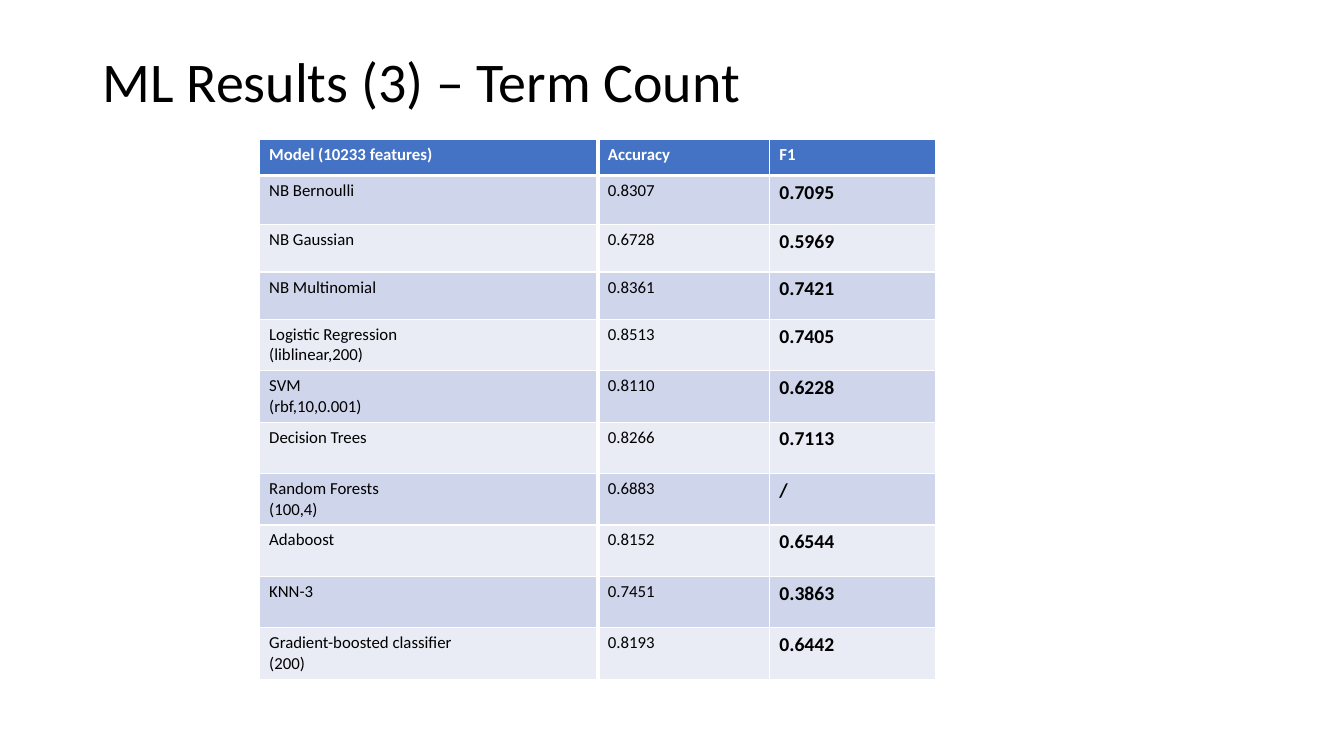
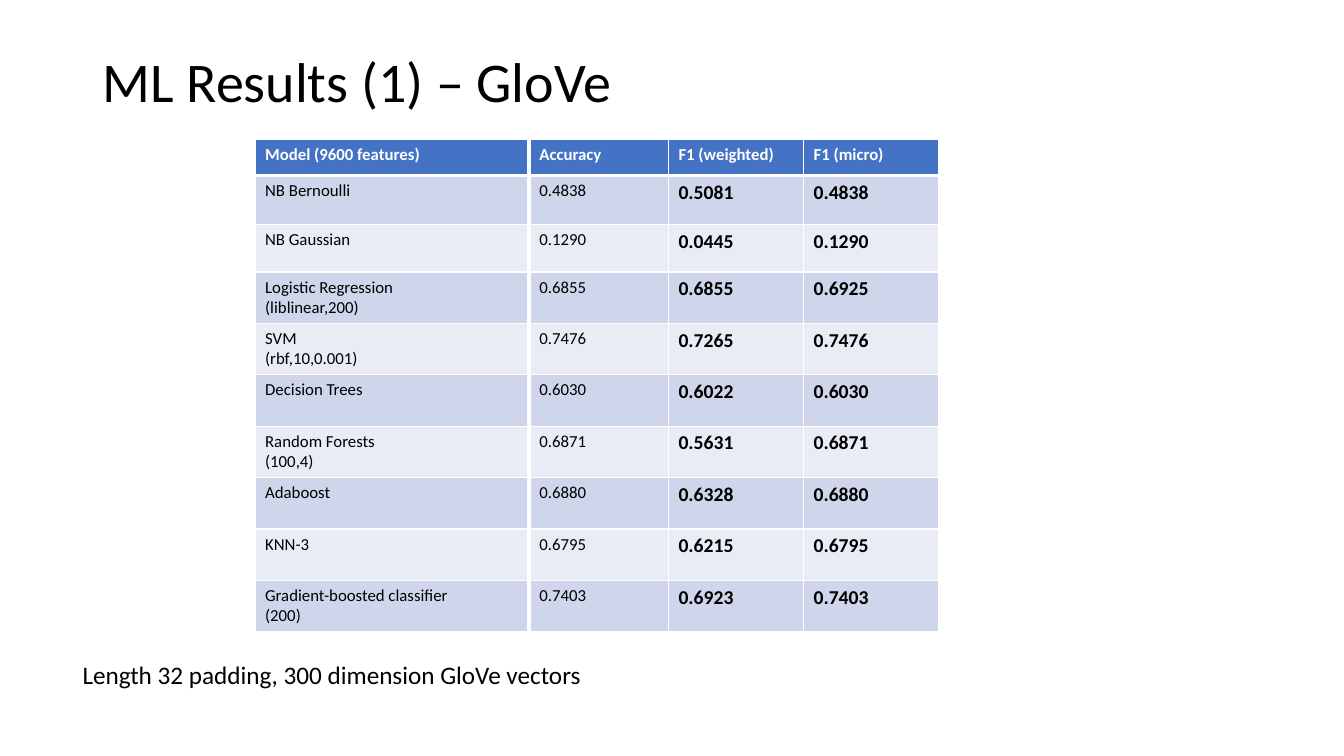
from dataclasses import dataclass

import pptx
import pptx.dml.color
import pptx.enum.shapes
import pptx.enum.text
import pptx.oxml
import pptx.oxml.ns
import pptx.slide
import pptx.table
import pptx.text.text
import pptx.util
from lxml import etree

RGBColor = pptx.dml.color.RGBColor
Pt = pptx.util.Pt

EMU_PER_PX = 9144  # 100 px to the inch
SLIDE_WIDTH, SLIDE_HEIGHT = 1333, 750

BLACK = RGBColor(0x00, 0x00, 0x00)
WHITE = RGBColor(0xFF, 0xFF, 0xFF)
HEADER_BLUE = RGBColor(0x44, 0x72, 0xC4)
BAND_DARK = RGBColor(0xCF, 0xD5, 0xEA)
BAND_LIGHT = RGBColor(0xE9, 0xEB, 0xF5)

FONT = "Calibri"
TITLE_BOX = (92, 11, 1150, 145)
TABLE_TOP = 138
HEADER_HEIGHT, FIRST_ROW_HEIGHT, SHORT_ROW_HEIGHT, TALL_ROW_HEIGHT = 36, 49, 47, 51
THIN_LINE, THICK_LINE = 1, 3


@dataclass(frozen=True)
class Note:
    text: str
    box: tuple[int, int, int, int]


@dataclass(frozen=True)
class ResultsSlide:
    title: str
    table_left: int
    column_widths: tuple[int, ...]
    short_rows: int  # rows of SHORT_ROW_HEIGHT after the first model
    header: tuple[str, ...]
    results: tuple[tuple[str, ...], ...]
    divider_span: tuple[int, int]
    note: Note | None = None

    @property
    def row_heights(self) -> list[int]:
        tall_rows = len(self.results) - 1 - self.short_rows
        return (
            [HEADER_HEIGHT, FIRST_ROW_HEIGHT]
            + [SHORT_ROW_HEIGHT] * self.short_rows
            + [TALL_ROW_HEIGHT] * tall_rows
        )


LOGISTIC = "Logistic Regression\n(liblinear,200)"
SVM = "SVM\n(rbf,10,0.001)"
FORESTS = "Random Forests\n(100,4)"
BOOSTED = "Gradient-boosted classifier\n(200)"

RESULTS_SLIDES = (
    ResultsSlide(
        title="ML Results (3) – Term Count",
        table_left=257,
        column_widths=(336, 170, 165),
        short_rows=2,
        header=("Model (10233 features)", "Accuracy", "F1"),
        results=(
            ("NB Bernoulli", "0.8307", "0.7095"),
            ("NB Gaussian", "0.6728", "0.5969"),
            ("NB Multinomial", "0.8361", "0.7421"),
            (LOGISTIC, "0.8513", "0.7405"),
            (SVM, "0.8110", "0.6228"),
            ("Decision Trees", "0.8266", "0.7113"),
            (FORESTS, "0.6883", "/"),
            ("Adaboost", "0.8152", "0.6544"),
            ("KNN-3", "0.7451", "0.3863"),
            (BOOSTED, "0.8193", "0.6442"),
        ),
        divider_span=(138, 688),
    ),
    ResultsSlide(
        title="ML Results (1) – GloVe",
        table_left=253,
        column_widths=(272, 138, 134, 134),
        short_rows=1,
        header=("Model (9600 features)", "Accuracy", "F1 (weighted)", "F1 (micro)"),
        results=(
            ("NB Bernoulli", "0.4838", "0.5081", "0.4838"),
            ("NB Gaussian", "0.1290", "0.0445", "0.1290"),
            (LOGISTIC, "0.6855", "0.6855", "0.6925"),
            (SVM, "0.7476", "0.7265", "0.7476"),
            ("Decision Trees", "0.6030", "0.6022", "0.6030"),
            (FORESTS, "0.6871", "0.5631", "0.6871"),
            ("Adaboost", "0.6880", "0.6328", "0.6880"),
            ("KNN-3", "0.6795", "0.6215", "0.6795"),
            (BOOSTED, "0.7403", "0.6923", "0.7403"),
        ),
        divider_span=(124, 627),
        note=Note("Length 32 padding, 300 dimension GloVe vectors", (72, 649, 521, 40)),
    ),
)


def px(length: int) -> pptx.util.Emu:
    return pptx.util.Emu(length * EMU_PER_PX)


def add_run(
    paragraph: pptx.text.text._Paragraph,
    text: str,
    size: int,
    color: RGBColor = BLACK,
    bold: bool = False,
) -> None:
    run = paragraph.add_run()
    run.text = text
    run.font.name = FONT
    run.font.size = Pt(size)
    run.font.bold = bold
    run.font.color.rgb = color


def add_title(slide: pptx.slide.Slide, text: str) -> None:
    frame = slide.shapes.add_textbox(*map(px, TITLE_BOX)).text_frame
    frame.word_wrap = True
    frame.vertical_anchor = pptx.enum.text.MSO_ANCHOR.MIDDLE
    paragraph = frame.paragraphs[0]
    paragraph.line_spacing = 0.9
    add_run(paragraph, text, 40)


def add_note(slide: pptx.slide.Slide, note: Note) -> None:
    frame = slide.shapes.add_textbox(*map(px, note.box)).text_frame
    frame.word_wrap = False
    frame.auto_size = pptx.enum.text.MSO_AUTO_SIZE.SHAPE_TO_FIT_TEXT
    add_run(frame.paragraphs[0], note.text, 18)


def set_borders(cell: pptx.table._Cell, top: int, bottom: int) -> None:
    """Draw white borders; must run before the fill is set, as the schema orders them."""
    properties = cell._tc.get_or_add_tcPr()
    widths = {"lnL": THIN_LINE, "lnR": THIN_LINE, "lnT": top, "lnB": bottom}
    for tag, width in widths.items():
        line = etree.SubElement(properties, pptx.oxml.ns.qn(f"a:{tag}"), w=str(Pt(width)))
        fill = etree.SubElement(line, pptx.oxml.ns.qn("a:solidFill"))
        etree.SubElement(fill, pptx.oxml.ns.qn("a:srgbClr"), val=str(WHITE))


def fill_cell(cell: pptx.table._Cell, text: str, row: int, column: int) -> None:
    is_header = row == 0
    is_score = not is_header and column >= 2
    set_borders(
        cell,
        top=THICK_LINE if row == 1 else THIN_LINE,
        bottom=THICK_LINE if is_header else THIN_LINE,
    )
    cell.fill.solid()
    band = BAND_DARK if row % 2 else BAND_LIGHT
    cell.fill.fore_color.rgb = HEADER_BLUE if is_header else band
    frame = cell.text_frame
    for index, line in enumerate(text.split("\n")):
        paragraph = frame.add_paragraph() if index else frame.paragraphs[0]
        add_run(
            paragraph,
            line,
            size=14 if is_score else 12,
            color=WHITE if is_header else BLACK,
            bold=is_header or is_score,
        )


def add_results_table(slide: pptx.slide.Slide, content: ResultsSlide) -> None:
    heights, widths = content.row_heights, content.column_widths
    table = slide.shapes.add_table(
        len(heights),
        len(widths),
        px(content.table_left),
        px(TABLE_TOP),
        px(sum(widths)),
        px(sum(heights)),
    ).table
    for column, width in zip(table.columns, widths):
        column.width = px(width)
    for row, height in zip(table.rows, heights):
        row.height = px(height)
    for row_index, texts in enumerate((content.header, *content.results)):
        for column_index, text in enumerate(texts):
            fill_cell(table.cell(row_index, column_index), text, row_index, column_index)


def add_divider(slide: pptx.slide.Slide, content: ResultsSlide) -> None:
    """Part the model names from their scores with a thick white line."""
    x = px(content.table_left + content.column_widths[0])
    top, bottom = map(px, content.divider_span)
    connector = slide.shapes.add_connector(
        pptx.enum.shapes.MSO_CONNECTOR.STRAIGHT, x, top, x, bottom
    )
    connector.line.color.rgb = WHITE
    connector.line.width = Pt(THICK_LINE)
    etree.SubElement(connector._element.spPr, pptx.oxml.ns.qn("a:effectLst"))


def main() -> None:
    presentation = pptx.Presentation()
    presentation.slide_width = px(SLIDE_WIDTH)
    presentation.slide_height = px(SLIDE_HEIGHT)
    blank_layout = presentation.slide_layouts[6]
    for content in RESULTS_SLIDES:
        slide = presentation.slides.add_slide(blank_layout)
        add_title(slide, content.title)
        add_results_table(slide, content)
        if content.note:
            add_note(slide, content.note)
        add_divider(slide, content)
    presentation.save("out.pptx")


if __name__ == "__main__":
    main()
